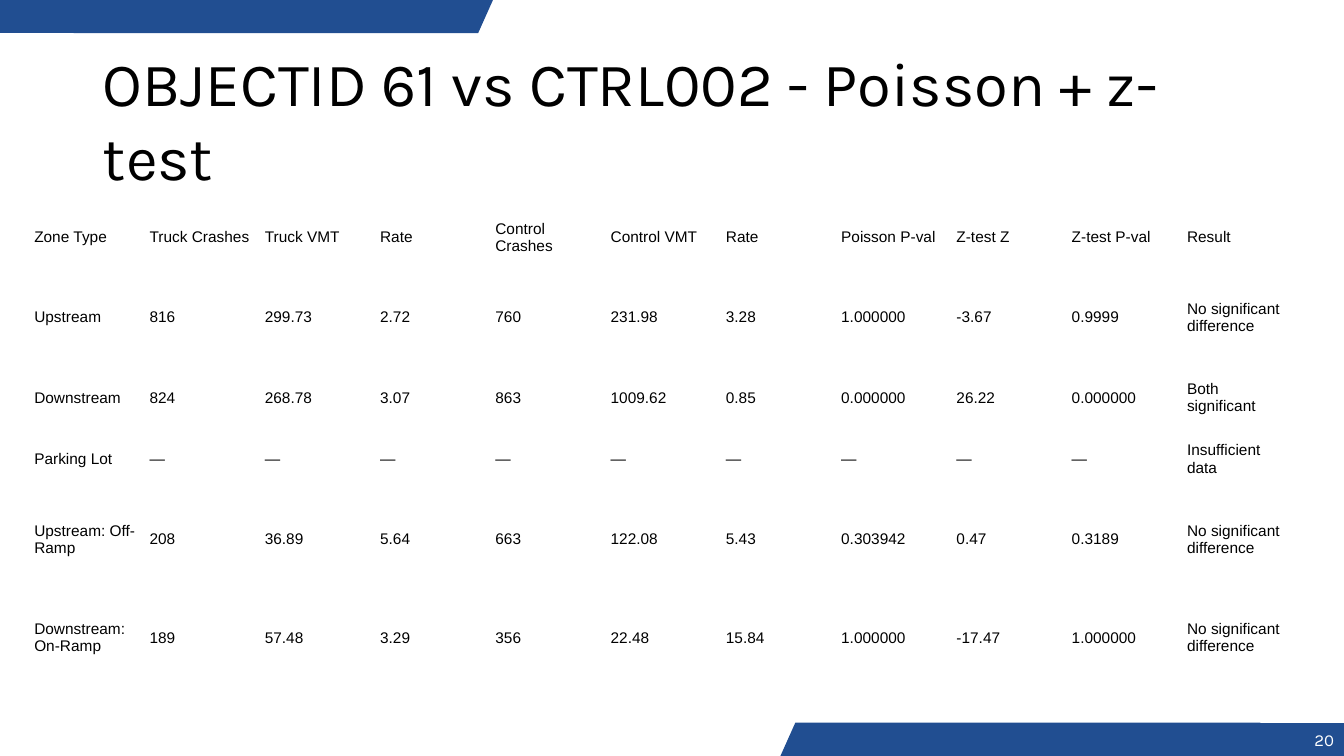
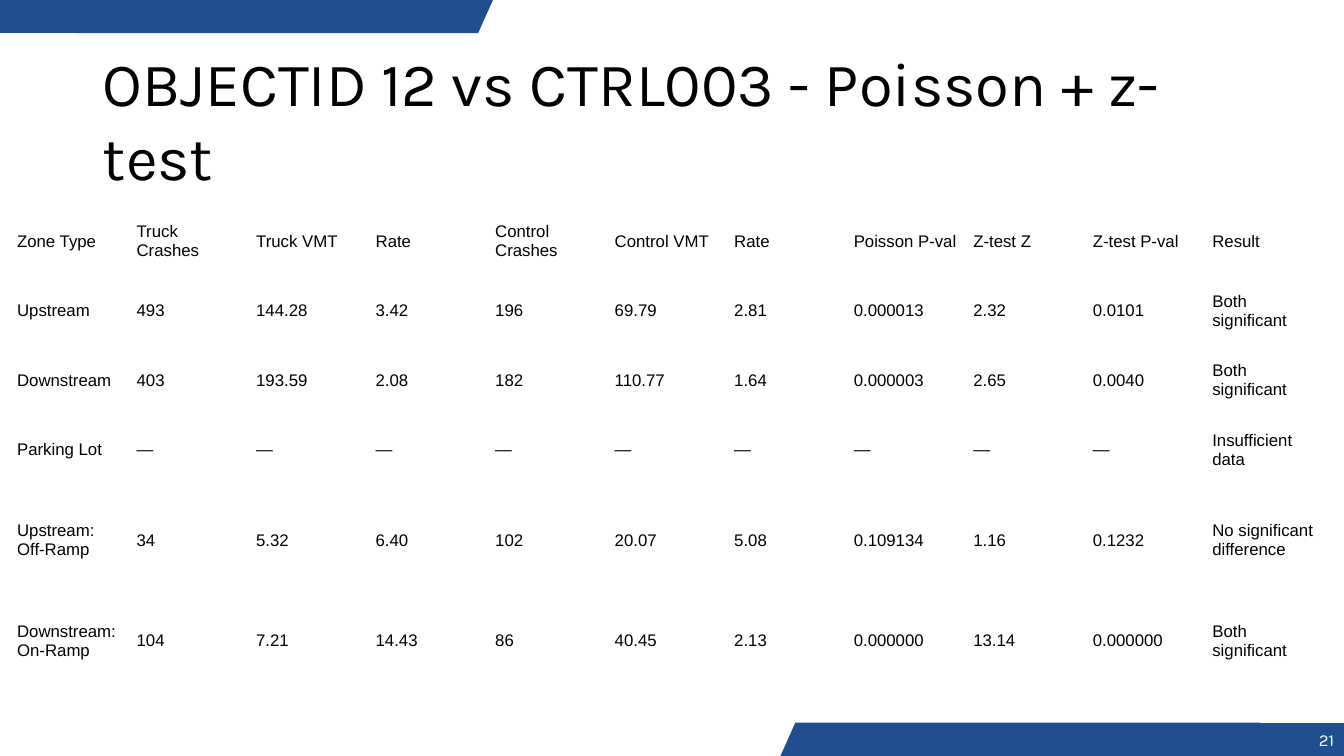
"""Build two slides that compare truck and control crash rates by zone."""
import pptx
import pptx.dml.color
import pptx.enum.shapes
import pptx.enum.text
import pptx.util

Inches = pptx.util.Inches
ALIGN = pptx.enum.text.PP_ALIGN
COLORS = {"band": "214E91", "text": "000000", "number": "FFFFFF"}
BANDS = [
    (7.74, 7.17, 4.76, 0.447, 180),
    (9.24, 7.17, 4.1, 0, 180),
    (0.73, 0, 4.16, 0.447, 0),
    (0, 0, 3.58, 0, 0),
]
BAND_HEIGHT = 0.33
HEADER = ["Zone Type", "Truck Crashes", "Truck VMT", "Rate", "Control Crashes", "Control VMT",
          "Rate", "Poisson P-val", "Z-test Z", "Z-test P-val", "Result"]
PARKING = ["Parking Lot"] + ["—"] * 9 + ["Insufficient data"]
SLIDES = [
    {
        "title": "OBJECTID 61 vs CTRL002 - Poisson + z-test",
        "number": 20,
        "table": {"left": 0.28, "width": 12.58, "size": 11, "inset": 0.06,
                  "heights": [0.61, 0.98, 0.61, 0.61, 0.98, 0.98]},
        "rows": [
            ["Upstream", "816", "299.73", "2.72", "760", "231.98", "3.28",
             "1.000000", "-3.67", "0.9999", "No significant difference"],
            ["Downstream", "824", "268.78", "3.07", "863", "1009.62", "0.85",
             "0.000000", "26.22", "0.000000", "Both significant"],
            PARKING,
            ["Upstream: Off-Ramp", "208", "36.89", "5.64", "663", "122.08", "5.43",
             "0.303942", "0.47", "0.3189", "No significant difference"],
            ["Downstream: On-Ramp", "189", "57.48", "3.29", "356", "22.48", "15.84",
             "1.000000", "-17.47", "1.000000", "No significant difference"],
        ],
    },
    {
        "title": "OBJECTID 12 vs CTRL003 - Poisson + z-test",
        "number": 21,
        "table": {"left": 0.1, "width": 13.04, "size": 12, "inset": 0.07,
                  "heights": [0.69, 0.69, 0.69, 0.69, 1.1, 0.9]},
        "rows": [
            ["Upstream", "493", "144.28", "3.42", "196", "69.79", "2.81",
             "0.000013", "2.32", "0.0101", "Both significant"],
            ["Downstream", "403", "193.59", "2.08", "182", "110.77", "1.64",
             "0.000003", "2.65", "0.0040", "Both significant"],
            PARKING,
            ["Upstream: Off-Ramp", "34", "5.32", "6.40", "102", "20.07", "5.08",
             "0.109134", "1.16", "0.1232", "No significant difference"],
            ["Downstream: On-Ramp", "104", "7.21", "14.43", "86", "40.45", "2.13",
             "0.000000", "13.14", "0.000000", "Both significant"],
        ],
    },
]


def write_text(frame, text, size, font, color="text", align=ALIGN.LEFT):
    para = frame.paragraphs[0]
    para.alignment = align
    span = para.add_run()
    span.text = text
    span.font.size = pptx.util.Pt(size)
    span.font.name = font
    span.font.bold = False
    span.font.color.rgb = pptx.dml.color.RGBColor.from_string(COLORS[color])


class CrashDeck:
    heading_font = "Karla"
    table_font = "Arial"

    def __init__(self):
        self.deck = pptx.Presentation()
        self.deck.slide_width = Inches(13.33)
        self.deck.slide_height = Inches(7.5)
        self.layout = self.deck.slide_layouts.get_by_name("Title Only")
        self.page = None

    def add_page(self):
        first = self.page is None
        self.page = self.deck.slides.add_slide(self.layout)
        if first:
            for band in BANDS:
                self.add_layout_band(*band)

    def add_layout_band(self, left, top, width, slant, rotation):
        band = self.page.shapes.add_shape(
            pptx.enum.shapes.MSO_SHAPE.PARALLELOGRAM,
            Inches(left), Inches(top), Inches(width), Inches(BAND_HEIGHT))
        band.adjustments[0] = slant
        band.rotation = rotation
        band.shadow.inherit = False
        band.fill.solid()
        band.fill.fore_color.rgb = pptx.dml.color.RGBColor.from_string(COLORS["band"])
        band.line.fill.background()
        self.layout.shapes.element.append(band.element)

    def add_title(self, text):
        title = self.page.shapes.title
        title.left, title.top = Inches(0.92), Inches(0.45)
        title.width, title.height = Inches(11.5), Inches(1.45)
        frame = title.text_frame
        frame.auto_size = pptx.enum.text.MSO_AUTO_SIZE.NONE
        frame.vertical_anchor = pptx.enum.text.MSO_ANCHOR.MIDDLE
        write_text(frame, text, size=44, font=self.heading_font)

    def add_number(self, number):
        box = self.page.shapes.add_textbox(
            Inches(12.81), Inches(7.17), Inches(0.52), Inches(BAND_HEIGHT))
        frame = box.text_frame
        frame.word_wrap = True
        frame.vertical_anchor = pptx.enum.text.MSO_ANCHOR.MIDDLE
        write_text(frame, str(number), size=12, font=self.heading_font,
                   color="number", align=ALIGN.RIGHT)

    def add_table(self, rows, left, width, size, inset, heights):
        table = self.page.shapes.add_table(
            len(rows), len(rows[0]), Inches(left), Inches(2.05),
            Inches(width), Inches(sum(heights))).table
        table.first_row = False
        table.horz_banding = False
        for row, height in zip(table.rows, heights):
            row.height = Inches(height)
        for row, texts in zip(table.rows, rows):
            for cell, text in zip(row.cells, texts):
                cell.fill.background()
                cell.vertical_anchor = pptx.enum.text.MSO_ANCHOR.MIDDLE
                cell.margin_left = cell.margin_right = Inches(inset)
                cell.margin_top = cell.margin_bottom = Inches(0.03)
                write_text(cell.text_frame, text, size=size, font=self.table_font)


def main():
    crashes = CrashDeck()
    for slide in SLIDES:
        crashes.add_page()
        crashes.add_title(slide["title"])
        crashes.add_number(slide["number"])
        crashes.add_table([HEADER] + slide["rows"], **slide["table"])
    crashes.deck.save("out.pptx")


if __name__ == "__main__":
    main()
